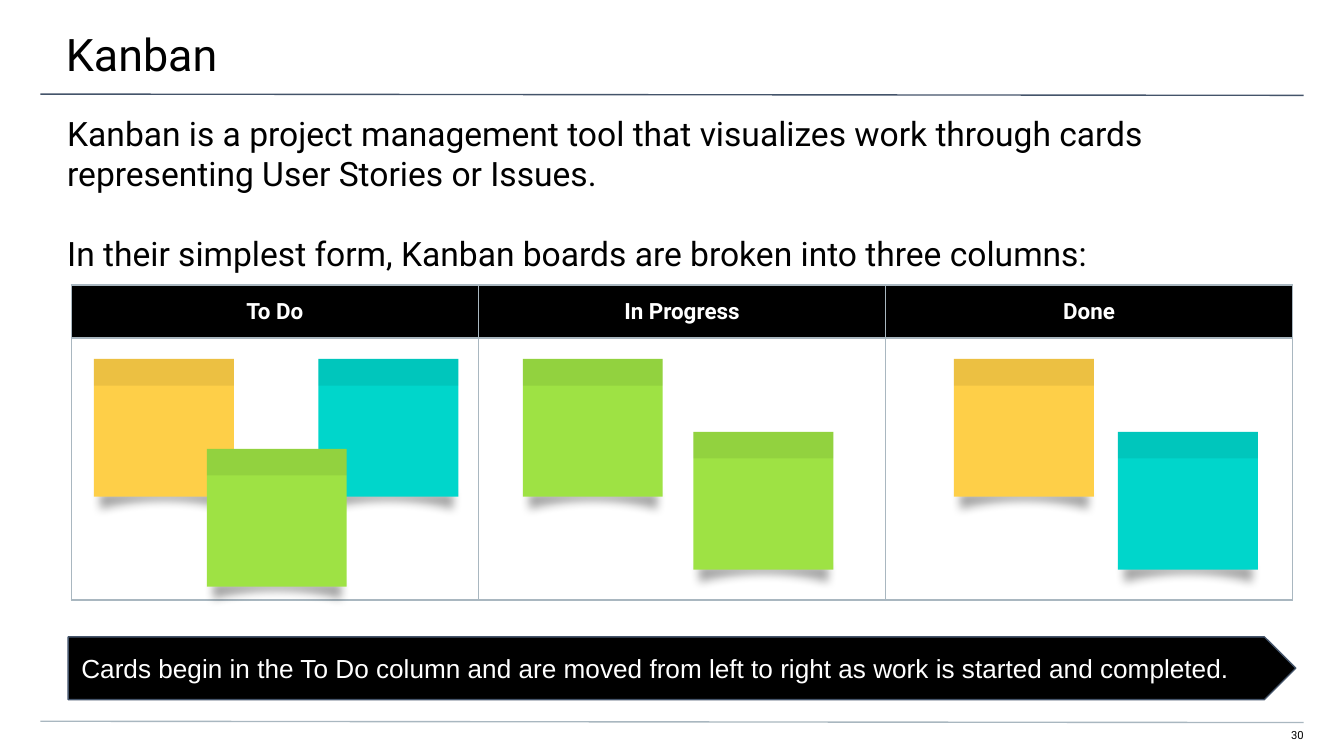
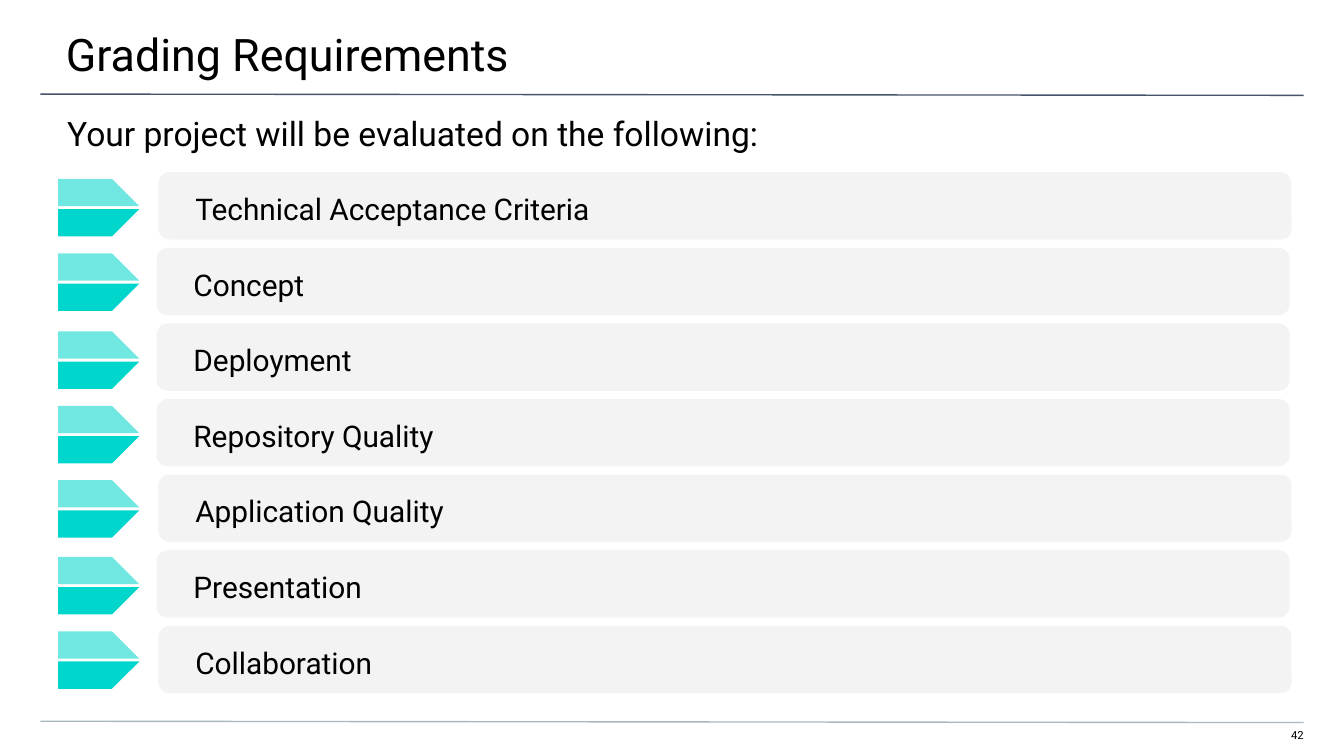
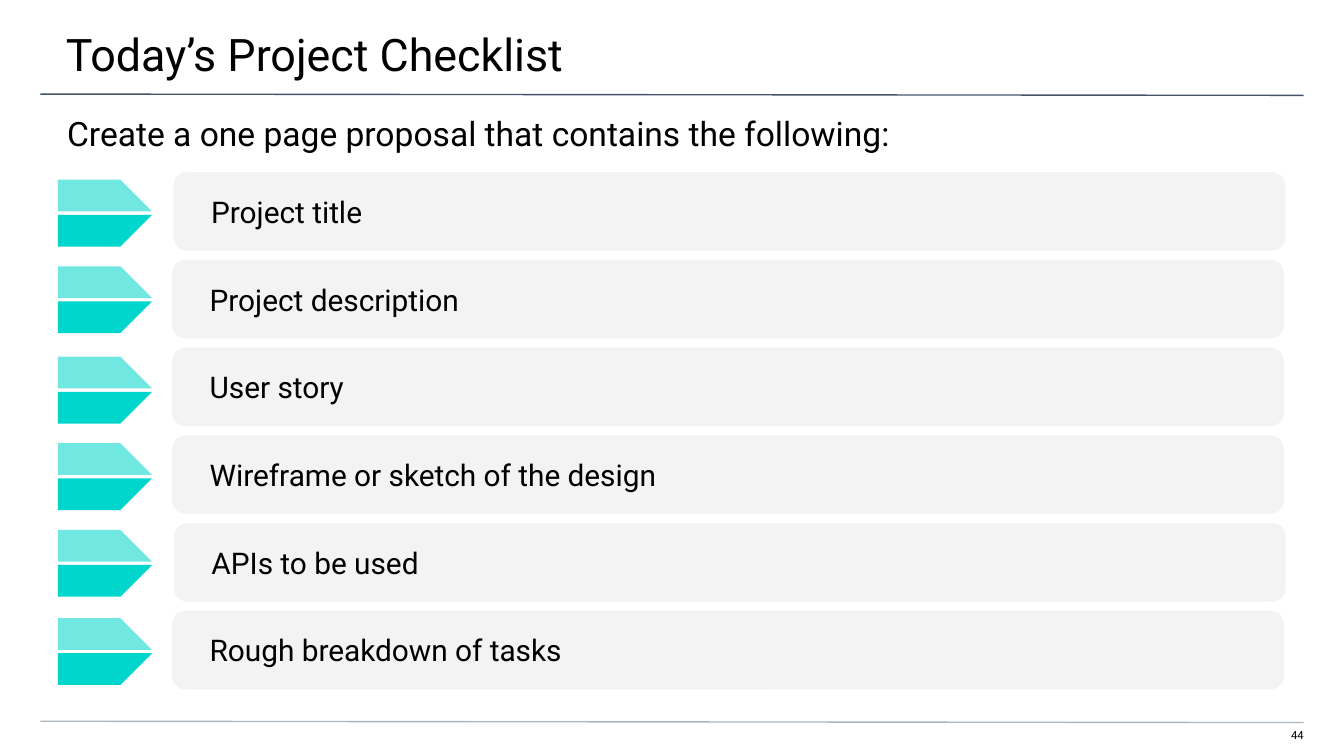
from dataclasses import dataclass

from lxml.etree import SubElement
from pptx import Presentation
from pptx.dml.color import RGBColor
from pptx.enum.shapes import MSO_CONNECTOR as Connector, MSO_SHAPE as Preset
from pptx.enum.text import MSO_ANCHOR as Anchor, PP_ALIGN as Align
from pptx.oxml.ns import qn
from pptx.util import Pt


@dataclass(frozen=True)
class Theme:
    # Colours
    ink: str = "000000"
    paper: str = "FFFFFF"
    title_rule: str = "44546A"
    thin_rule: str = "A9B7C0"
    panel: str = "F3F3F3"
    curl: str = "BDBDBD"
    yellow: str = "FECF48"
    teal: str = "00D6CB"
    green: str = "9EE244"
    # Fonts and sizes
    font: str = "Roboto"
    banner_font: str = "Arial"
    title: int = 24
    lead: int = 18
    item: int = 16
    banner: int = 14
    header: int = 12
    number: int = 6
    rule: float = 0.75


class Deck:
    """Holds the theme and the page being drawn; all lengths are points."""

    def __init__(self, theme):
        self.theme = theme
        self.file = Presentation()
        self.file.slide_width, self.file.slide_height = Pt(720), Pt(405)
        self.page = None

    def new_page(self, title, lead, number):
        theme = self.theme
        self.page = self.file.slides.add_slide(self.file.slide_layouts[6])
        self.rule(50.4, theme.title_rule)
        self.rule(386.4, theme.thin_rule)
        self.text((677.5, 390.2, 20.9, 8.6), [number], theme.number,
                  (0, 0, 0, 7.2), Align.RIGHT)
        self.text((-0.7, 0, 722, 41.8), [title], theme.title, (36, 14.4, 21.6, 7.2))
        self.text((0, 53.3, 720, 28.8), lead, theme.lead, (36, 7.2, 36, 0), gap=21)

    # Text
    def fill_text(self, frame, lines, size, insets, align=Align.LEFT, anchor=Anchor.TOP,
                  color=None, font=None, bold=False, gap=0, spacing=None):
        frame.word_wrap = True
        frame.vertical_anchor = anchor
        (frame.margin_left, frame.margin_top,
         frame.margin_right, frame.margin_bottom) = map(Pt, insets)
        frame.text = "\n".join(lines)
        for index, para in enumerate(frame.paragraphs):
            para.alignment = align
            if spacing:
                para.line_spacing = spacing
            if index and gap:
                para.space_before = Pt(gap)
            for span in para.runs:
                span.font.name = font or self.theme.font
                span.font.size = Pt(size)
                span.font.bold = bold
                span.font.color.rgb = RGBColor.from_string(color or self.theme.ink)

    def text(self, place, lines, size, insets, align=Align.LEFT, gap=0):
        box = self.page.shapes.add_textbox(*map(Pt, place))
        self.fill_text(box.text_frame, lines, size, insets, align, gap=gap)

    # Lines and shapes
    def rule(self, top, color):
        line = self.page.shapes.add_connector(
            Connector.STRAIGHT, Pt(21.6), Pt(top), Pt(698.4), Pt(top + 0.7))
        line.line.color.rgb = RGBColor.from_string(color)
        line.line.width = Pt(self.theme.rule)
        SubElement(line._element.spPr, qn("a:effectLst"))

    def paint(self, shape, fill, opacity=100, line=None):
        shape.shadow.inherit = False
        shape.fill.solid()
        shape.fill.fore_color.rgb = RGBColor.from_string(fill)
        if opacity < 100:
            color = shape._element.spPr.find(qn("a:solidFill"))[0]
            SubElement(color, qn("a:alpha"), val=str(opacity * 1000))
        if line:
            shape.line.color.rgb = RGBColor.from_string(line)
            shape.line.width = Pt(self.theme.rule)
        else:
            shape.line.fill.background()
        return shape

    def shape(self, preset, place, fill, opacity=100, line=None):
        shape = self.page.shapes.add_shape(preset, *map(Pt, place))
        return self.paint(shape, fill, opacity, line)

    def outline(self, points, fill, opacity=100):
        start, *rest = [(Pt(x), Pt(y)) for x, y in points]
        builder = self.page.shapes.build_freeform(*start)
        builder.add_line_segments(rest, close=True)
        return self.paint(builder.convert_to_shape(), fill, opacity)

    # Sticky note with a curled, shadowed lower edge
    def note(self, left, top, fill):
        theme, steps = self.theme, 16
        bottom = [(left + 3.4 + 68.4 * step / steps,
                   top + 69.2 + 4.3 * (2 * step / steps - 1) ** 2)
                  for step in range(steps, -1, -1)]
        curl = self.outline([(left + 3, top + 65), (left + 72, top + 65), *bottom],
                            theme.curl)
        effects = curl._element.spPr.find(qn("a:effectLst"))
        shadow = SubElement(effects, qn("a:outerShdw"), blurRad=str(Pt(5)),
                            dist=str(Pt(7)), dir="5400000", rotWithShape="0")
        color = SubElement(shadow, qn("a:srgbClr"), val=theme.ink)
        SubElement(color, qn("a:alpha"), val="34000")
        self.shape(Preset.RECTANGLE, (left, top, 75, 73.8), fill)
        self.shape(Preset.RECTANGLE, (left, top, 75, 14.3), theme.ink, opacity=7)

    # Arrow made of a light upper half and a solid lower half
    def split_arrow(self, left, top, width, half, gap):
        tip = left + width
        upper, lower = top + half, top + half + gap
        for outer, inner, opacity in ((top, upper, 56), (lower + half, lower, 100)):
            self.outline([(left, outer), (left, inner), (tip, inner),
                          (tip - half, outer)], self.theme.teal, opacity)

    # One arrow and one panel per item
    def arrow_list(self, rows, pitch, panel, arrow, spacing=None):
        left, width, height = panel
        for index, (label, nudge, arrow_top) in enumerate(rows):
            place = (left + nudge, 92.3 + index * pitch, width, height)
            bar = self.shape(Preset.ROUNDED_RECTANGLE, place, self.theme.panel)
            self.fill_text(bar.text_frame, [label], self.theme.item,
                           (18, 7.2, 7.2, 7.2), anchor=Anchor.MIDDLE, spacing=spacing)
            self.split_arrow(31.1, arrow_top, *arrow)

    # Board table: header row over one tall empty row
    def board(self, left, top, headers, column, heights):
        theme = self.theme
        table = self.page.shapes.add_table(
            len(heights), len(headers), Pt(left), Pt(top),
            Pt(column * len(headers)), Pt(sum(heights))).table
        table.first_row = table.horz_banding = False
        for row, height in zip(table.rows, heights):
            row.height = Pt(height)
        for index, header in enumerate(headers):
            table.columns[index].width = Pt(column)
            head, body = table.cell(0, index), table.cell(1, index)
            self.fill_text(head.text_frame, [header], theme.header, (7.2,) * 4,
                           Align.CENTER, color=theme.paper, bold=True)
            head.vertical_anchor = Anchor.MIDDLE
            for cell in (head, body):
                self.border(cell)
            head.fill.solid()
            head.fill.fore_color.rgb = RGBColor.from_string(theme.ink)
            body.fill.background()

    def border(self, cell):
        properties = cell._tc.get_or_add_tcPr()
        for side in ("a:lnL", "a:lnR", "a:lnT", "a:lnB"):
            edge = SubElement(properties, qn(side), w=str(Pt(self.theme.rule)))
            fill = SubElement(edge, qn("a:solidFill"))
            SubElement(fill, qn("a:srgbClr"), val=self.theme.thin_rule)

    def banner(self, place, label):
        theme = self.theme
        arrow = self.shape(Preset.PENTAGON, place, theme.ink, line=theme.title_rule)
        self.fill_text(arrow.text_frame, [label], theme.banner, (7.2,) * 4,
                       anchor=Anchor.MIDDLE, color=theme.paper, font=theme.banner_font)


def kanban(deck):
    theme = deck.theme
    deck.new_page("Kanban", [
        "Kanban is a project management tool that visualizes work through cards "
        "representing User Stories or Issues.",
        "In their simplest form, Kanban boards are broken into three columns:",
    ], "30")
    deck.board(38.2, 152.7, ["To Do", "In Progress", "Done"], 218.1, [28.4, 140.4])
    deck.banner((36.5, 341.2, 657.7, 33.6),
                "Cards begin in the To Do column and are moved from left to right "
                "as work is started and completed.")
    high, middle, low = 192.3, 231.4, 240.5
    for left, top, fill in (
            (50.3, high, theme.yellow), (170.6, high, theme.teal),
            (110.8, low, theme.green), (280.1, high, theme.green),
            (371.5, middle, theme.green), (598.9, middle, theme.teal),
            (511.1, high, theme.yellow)):
        deck.note(left, top, fill)


def grading(deck):
    deck.new_page("Grading Requirements",
                  ["Your project will be evaluated on the following:"], "42")
    # Label, panel shift, arrow top
    deck.arrow_list([
        ("Technical Acceptance Criteria", 1, 95.8),
        ("Concept", 0, 135.7),
        ("Deployment", 0, 177.5),
        ("Repository Quality", 0, 217.4),
        ("Application Quality", 1, 257.2),
        ("Presentation", 0, 298.3),
        ("Collaboration", 1, 338.2),
    ], 40.5, (83.9, 607, 36.1), (43.5, 14.6, 1.6), spacing=1.15)


def checklist(deck):
    deck.new_page("Today’s Project Checklist",
                  ["Create a one page proposal that contains the following:"], "44")
    deck.arrow_list([
        ("Project title", 0.8, 96.3),
        ("Project description", 0, 142.7),
        ("User story", 0, 191.1),
        ("Wireframe or sketch of the design", 0, 237.5),
        ("APIs to be used", 1, 283.9),
        ("Rough breakdown of tasks", 0, 331.2),
    ], 47, (92.3, 595.5, 42), (50.4, 17, 1.8))


def main():
    deck = Deck(Theme())
    kanban(deck)
    grading(deck)
    checklist(deck)
    deck.file.save("out.pptx")


if __name__ == "__main__":
    main()
